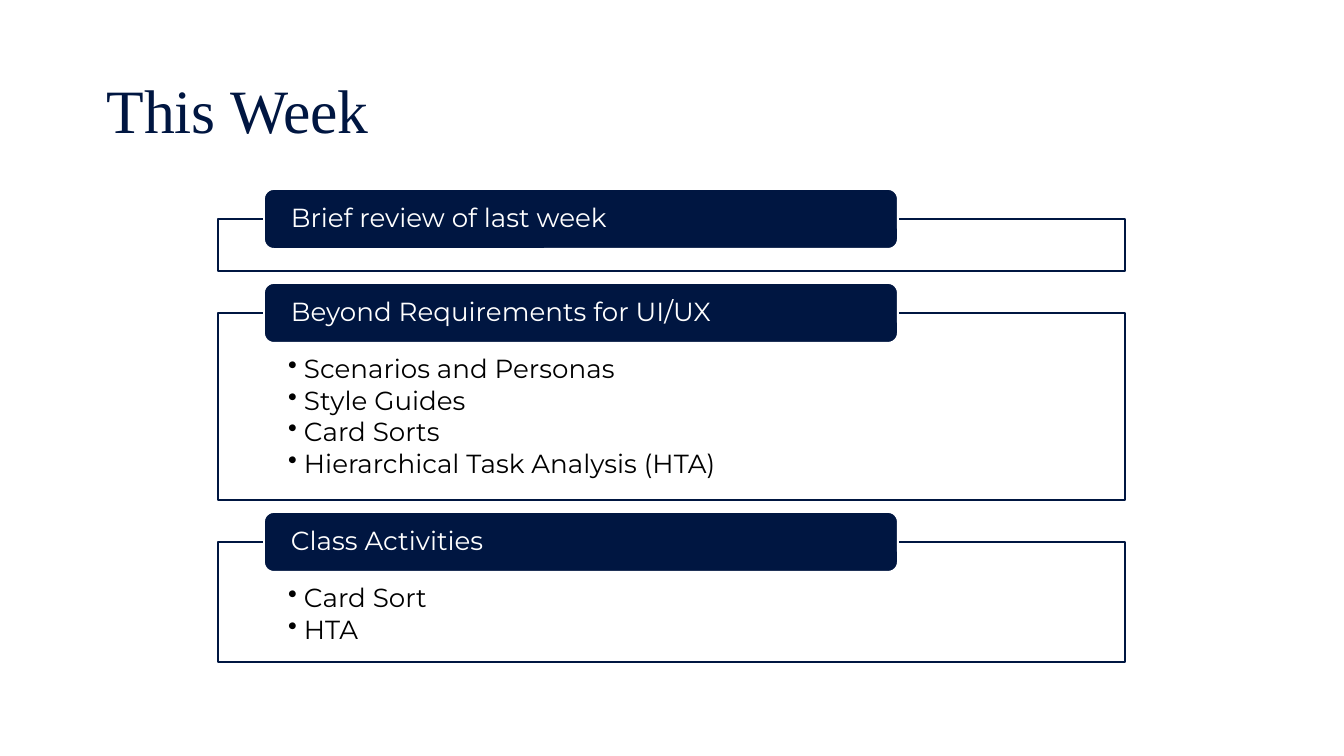
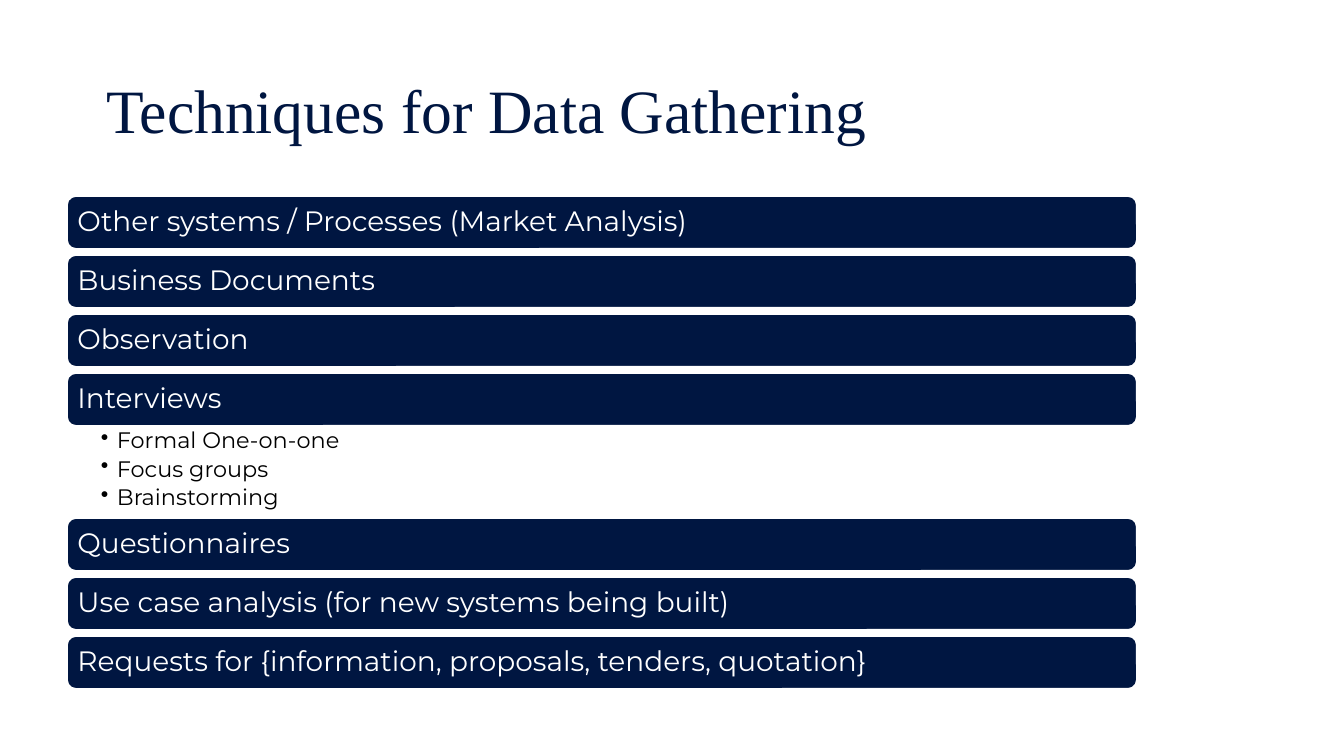
import pptx
import pptx.util
import pptx.dml.color
import pptx.enum.shapes
import pptx.enum.text
from lxml import etree
from pptx.oxml.ns import qn

WEEK = [
    ("Brief review of last week", [], 52),
    ("Beyond Requirements for UI/UX",
     ["Scenarios and Personas", "Style Guides", "Card Sorts",
      "Hierarchical Task Analysis (HTA)"], 187),
    ("Class Activities", ["Card Sort", "HTA"], 120),
]
METHODS = [
    ("Other systems / Processes (Market Analysis)", []),
    ("Business Documents", []),
    ("Observation", []),
    ("Interviews", ["Formal One-on-one", "Focus groups", "Brainstorming"]),
    ("Questionnaires", []),
    ("Use case analysis (for new systems being built)", []),
    ("Requests for {information, proposals, tenders, quotation}", []),
]

NAVY = pptx.dml.color.RGBColor(0x00, 0x16, 0x41)
WHITE = pptx.dml.color.RGBColor(0xFF, 0xFF, 0xFF)
BLACK = pptx.dml.color.RGBColor(0x00, 0x00, 0x00)
HEAD, BODY = "Times New Roman", "Montserrat"
SHAPE = pptx.enum.shapes.MSO_SHAPE
ANCHOR = pptx.enum.text.MSO_ANCHOR
LEFT = pptx.enum.text.PP_ALIGN.LEFT
Pt = pptx.util.Pt


def px(n):
    return pptx.util.Emu(round(n * 914400 / 134.4))


def write(par, text, font, size, color):
    par.alignment = LEFT
    par.line_spacing = 0.9
    run = par.add_run()
    run.text = text
    run.font.name = font
    run.font.size = Pt(size)
    run.font.color.rgb = color


def pad(frame, sides, anchor):
    """Set the insets (left, top, right, bottom) and the anchor of a text frame."""
    frame.word_wrap = True
    frame.margin_left, frame.margin_top, frame.margin_right, frame.margin_bottom = map(px, sides)
    frame.vertical_anchor = anchor


def add_slide(deck, title):
    slide = deck.slides.add_slide(deck.slide_layouts[5])
    box = slide.shapes.title
    box.left, box.top, box.width, box.height = map(px, (93, 40, 1158, 147))
    frame = box.text_frame
    frame.auto_size = pptx.enum.text.MSO_AUTO_SIZE.NONE
    frame.vertical_anchor = ANCHOR.MIDDLE
    write(frame.paragraphs[0], title, HEAD, 33, NAVY)
    return slide


def add_box(slide, kind, place, fill, line):
    box = slide.shapes.add_shape(kind, *map(px, place))
    box.shadow.inherit = False
    box.fill.solid()
    box.fill.fore_color.rgb = fill
    box.line.color.rgb = line
    box.line.width = Pt(1)
    return box


def add_bar(slide, place, text, size, sides):
    bar = add_box(slide, SHAPE.ROUNDED_RECTANGLE, place, NAVY, WHITE)
    pad(bar.text_frame, sides, ANCHOR.MIDDLE)
    write(bar.text_frame.paragraphs[0], text, BODY, size, WHITE)


def add_list(frame, items, size, after):
    for i, item in enumerate(items):
        par = frame.add_paragraph() if i else frame.paragraphs[0]
        par.level = 1
        write(par, item, BODY, size, BLACK)
        par.space_after = Pt(after)
        props = par._p.get_or_add_pPr()
        props.set("marL", str(px(16)))
        props.set("indent", str(-px(16)))
        etree.SubElement(props, qn("a:buChar")).set("char", "•")


def week_slide(deck):
    slide = add_slide(deck, "This Week")
    bar, gap, top = 60, 12, 219
    for head, items, high in WEEK:
        box = add_box(slide, SHAPE.RECTANGLE, (218, top, 907, high), WHITE, NAVY)
        tint = box.fill._xPr.find(".//" + qn("a:srgbClr"))
        etree.SubElement(tint, qn("a:alpha")).set("val", "90000")
        pad(box.text_frame, (70, 43, 70, 15), ANCHOR.TOP)
        add_list(box.text_frame, items, 14, 1.8)
        add_bar(slide, (264, top - bar // 2, 634, bar), head, 14, (24, 0, 24, 0))
        top += high + gap + bar // 2


def method_slide(deck):
    slide = add_slide(deck, "Techniques for Data Gathering")
    left, wide, bar, gap, block, top = 67, 1070, 53, 6, 92, 196
    for head, items in METHODS:
        add_bar(slide, (left, top, wide, bar), head, 15, (8, 8, 8, 8))
        top += bar
        if items:
            box = slide.shapes.add_textbox(*map(px, (left, top, wide, block)))
            pad(box.text_frame, (34, 3, 16, 3), ANCHOR.TOP)
            add_list(box.text_frame, items, 12, 2.4)
            top += block
        else:
            top += gap


def main():
    deck = pptx.Presentation()
    deck.slide_width, deck.slide_height = px(1344), px(756)
    week_slide(deck)
    method_slide(deck)
    deck.save("out.pptx")


if __name__ == "__main__":
    main()
